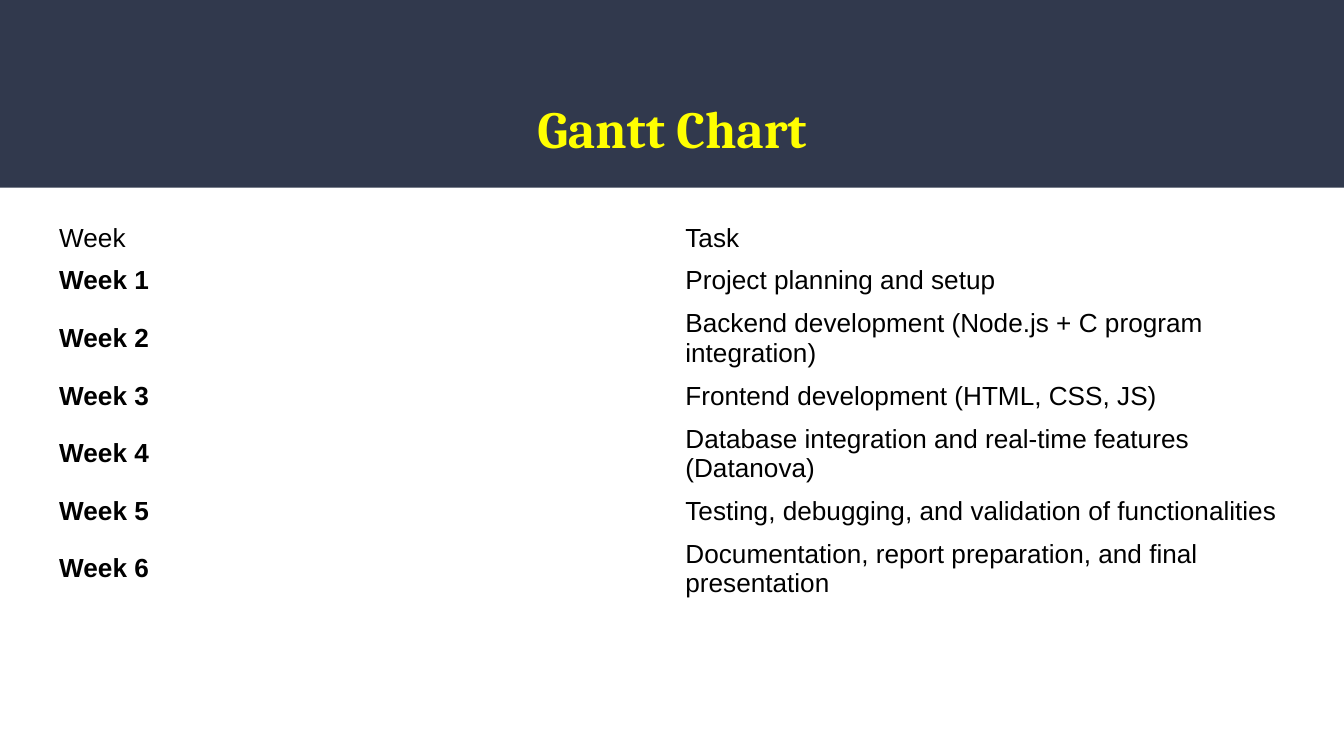
from pptx import Presentation
from pptx.dml.color import RGBColor
from pptx.enum.shapes import MSO_SHAPE
from pptx.enum.text import MSO_ANCHOR, MSO_AUTO_SIZE, PP_ALIGN
from pptx.util import Pt

NAVY = RGBColor(0x31, 0x39, 0x4D)
YELLOW = RGBColor(0xFF, 0xFF, 0x00)
BLACK = RGBColor(0x00, 0x00, 0x00)

SCHEDULE = [
    ("Week", "Task"),
    ("Week 1", "Project planning and setup"),
    ("Week 2", "Backend development (Node.js + C program integration)"),
    ("Week 3", "Frontend development (HTML, CSS, JS)"),
    ("Week 4", "Database integration and real-time features (Datanova)"),
    ("Week 5", "Testing, debugging, and validation of functionalities"),
    ("Week 6", "Documentation, report preparation, and final presentation"),
]


class ScheduleSlide:
    title_font = "Cambria"
    body_font = "Arial"
    title_size = Pt(28)
    body_size = Pt(14)
    left = Pt(24.5)
    width = Pt(671)
    row_height = Pt(23)

    def __init__(self, deck):
        self.deck = deck
        self.slide = deck.slides.add_slide(deck.slide_layouts[5])

    def format_runs(self, paragraph, font_name, size, color, bold):
        for run in paragraph.runs:
            run.font.name = font_name
            run.font.size = size
            run.font.color.rgb = color
            run.font.bold = bold

    def add_band(self, height):
        band = self.slide.shapes.add_shape(
            MSO_SHAPE.RECTANGLE, 0, 0, self.deck.slide_width, height)
        band.shadow.inherit = False
        band.fill.solid()
        band.fill.fore_color.rgb = NAVY
        band.line.fill.background()
        self.slide.shapes.title.element.addprevious(band.element)

    def set_title(self, text, top, height):
        title = self.slide.shapes.title
        title.left, title.top = self.left, top
        title.width, title.height = self.width, height
        frame = title.text_frame
        frame.text = text
        frame.word_wrap = True
        frame.auto_size = MSO_AUTO_SIZE.NONE
        frame.vertical_anchor = MSO_ANCHOR.TOP
        frame.margin_left = frame.margin_right = Pt(7.2)
        frame.margin_top = frame.margin_bottom = Pt(7.2)
        heading = frame.paragraphs[0]
        heading.alignment = PP_ALIGN.CENTER
        heading.line_spacing = 1.15
        self.format_runs(heading, self.title_font, self.title_size, YELLOW, True)

    def add_schedule(self, entries, top):
        schedule = self.slide.shapes.add_table(
            len(entries), 2, self.left, top, self.width,
            self.row_height * len(entries)).table
        schedule.first_row = False
        schedule.horz_banding = False
        for row_index, entry in enumerate(entries):
            for column_index, text in enumerate(entry):
                cell = schedule.cell(row_index, column_index)
                cell.fill.background()
                cell.vertical_anchor = MSO_ANCHOR.MIDDLE
                cell.text_frame.text = text
                is_week = row_index > 0 and column_index == 0
                self.format_runs(cell.text_frame.paragraphs[0], self.body_font,
                                 self.body_size, BLACK, is_week)


def main():
    deck = Presentation()
    deck.slide_width, deck.slide_height = Pt(720), Pt(405)
    page = ScheduleSlide(deck)
    page.add_band(Pt(100.5))
    page.set_title("Gantt Chart", Pt(39.6), Pt(49))
    page.add_schedule(SCHEDULE, Pt(116))
    deck.save("out.pptx")


if __name__ == "__main__":
    main()
